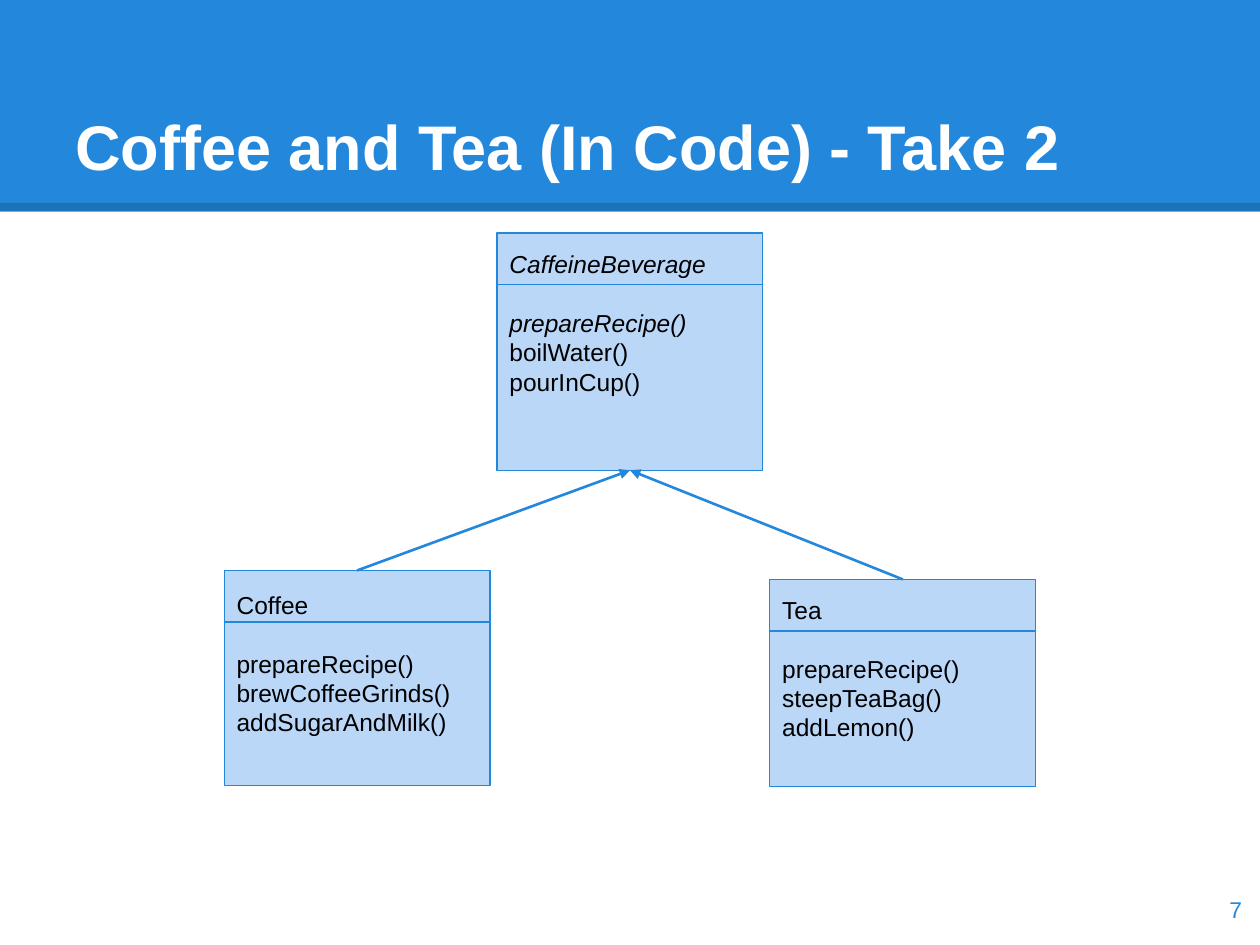
from lxml.etree import SubElement
from pptx import Presentation
from pptx.dml.color import RGBColor
from pptx.enum.shapes import MSO_CONNECTOR, MSO_SHAPE
from pptx.enum.text import MSO_ANCHOR, MSO_AUTO_SIZE, PP_ALIGN
from pptx.oxml.ns import qn
from pptx.util import Cm, Pt

TITLE = "Coffee and Tea (In Code) - Take 2"
PAGE = "7"

# Sizes in cm; "pad" is the space above the class name
PARENT = dict(name="CaffeineBeverage",
              methods=["prepareRecipe()", "boilWater()", "pourInCup()"],
              abstract=["CaffeineBeverage", "prepareRecipe()"],
              center=12.7, top=4.7, height=4.78, pad=0.33)
CHILDREN = [
    dict(name="Coffee",
         methods=["prepareRecipe()", "brewCoffeeGrinds()", "addSugarAndMilk()"],
         abstract=[], center=7.2, top=11.5, height=4.34, pad=0.4),
    dict(name="Tea",
         methods=["prepareRecipe()", "steepTeaBag()", "addLemon()"],
         abstract=[], center=18.2, top=11.68, height=4.17, pad=0.32),
]

THEME = dict(font="Arial", blue=RGBColor(0x23, 0x88, 0xDB),
             box=RGBColor(0xBB, 0xD7, 0xF8), white=RGBColor(255, 255, 255),
             black=RGBColor(0, 0, 0), title=Pt(36), body=Pt(14), page=Pt(13))
SLIDE_W, SLIDE_H = 25.4, 19.05
BAND_H, RULE_Y = 4.27, 4.17
BOX_W, NAME_H, INSET = 5.36, 1.04, 0.25


def style(run, size, color, bold=False, italic=False):
    font = run.font
    font.name, font.size, font.bold, font.italic = THEME["font"], size, bold, italic
    font.color.rgb = color


def set_frame(tf, anchor, top=INSET):
    tf.word_wrap = True
    tf.auto_size = MSO_AUTO_SIZE.NONE
    tf.vertical_anchor = anchor
    tf.margin_left = tf.margin_right = tf.margin_bottom = Cm(INSET)
    tf.margin_top = Cm(top)


def add_rect(s, left, top, width, height, fill):
    sp = s.shapes.add_shape(MSO_SHAPE.RECTANGLE, Cm(left), Cm(top), Cm(width), Cm(height))
    sp.shadow.inherit = False
    sp.fill.solid()
    sp.fill.fore_color.rgb = fill
    sp.line.fill.background()
    return sp


def add_line(s, x1, y1, x2, y2, color, width):
    line = s.shapes.add_connector(MSO_CONNECTOR.STRAIGHT, Cm(x1), Cm(y1), Cm(x2), Cm(y2))
    line.line.color.rgb = color
    line.line.width = Pt(width)
    SubElement(line.element.spPr, qn("a:effectLst"))
    return line


def add_class(s, item):
    left, top = item["center"] - BOX_W / 2, item["top"]
    sp = add_rect(s, left, top, BOX_W, item["height"], THEME["box"])
    sp.line.color.rgb = THEME["blue"]
    sp.line.width = Pt(0.75)
    tf = sp.text_frame
    set_frame(tf, MSO_ANCHOR.TOP, item["pad"])
    tf.text = "\n".join([item["name"], *item["methods"]])
    for p in tf.paragraphs:
        p.alignment = PP_ALIGN.LEFT
        style(p.runs[0], THEME["body"], THEME["black"], italic=p.text in item["abstract"])
    tf.paragraphs[1].space_before = Pt(16.5)
    add_line(s, left, top + NAME_H, left + BOX_W, top + NAME_H, THEME["blue"], 0.75)
    return sp


def add_inheritance(s, child, parent):
    line = add_line(s, 0, 0, 1, 1, THEME["blue"], 1.5)
    line.begin_connect(child, 0)
    line.end_connect(parent, 2)
    SubElement(line.line._get_or_add_ln(), qn("a:tailEnd"), type="triangle")


def add_header(s):
    add_rect(s, 0, 0, SLIDE_W, BAND_H, THEME["blue"])
    rule = add_line(s, 0, RULE_Y, SLIDE_W, RULE_Y, THEME["black"], 4.5)
    color = rule.element.spPr.find(".//" + qn("a:srgbClr"))
    SubElement(color, qn("a:alpha"), val="15000")

    title = s.shapes.title
    s.shapes.element.append(title.element)  # bring in front of the band
    title.left, title.top, title.width, title.height = Cm(1.27), Cm(0.76), Cm(22.86), Cm(3.18)
    tf = title.text_frame
    tf.text = TITLE
    set_frame(tf, MSO_ANCHOR.BOTTOM)
    p = tf.paragraphs[0]
    p.alignment = PP_ALIGN.LEFT
    style(p.runs[0], THEME["title"], THEME["white"], bold=True)


def add_page_number(s):
    tf = s.shapes.add_textbox(Cm(23.77), Cm(17.6), Cm(1.52), Cm(1.45)).text_frame
    tf.text = PAGE
    set_frame(tf, MSO_ANCHOR.MIDDLE)
    p = tf.paragraphs[0]
    p.alignment = PP_ALIGN.RIGHT
    style(p.runs[0], THEME["page"], THEME["blue"])


def main():
    prs = Presentation()
    prs.slide_width, prs.slide_height = Cm(SLIDE_W), Cm(SLIDE_H)
    s = prs.slides.add_slide(prs.slide_layouts[5])
    add_header(s)
    add_page_number(s)
    children = [add_class(s, item) for item in CHILDREN]
    parent = add_class(s, PARENT)
    for child in children:
        add_inheritance(s, child, parent)
    prs.save("out.pptx")


if __name__ == "__main__":
    main()
